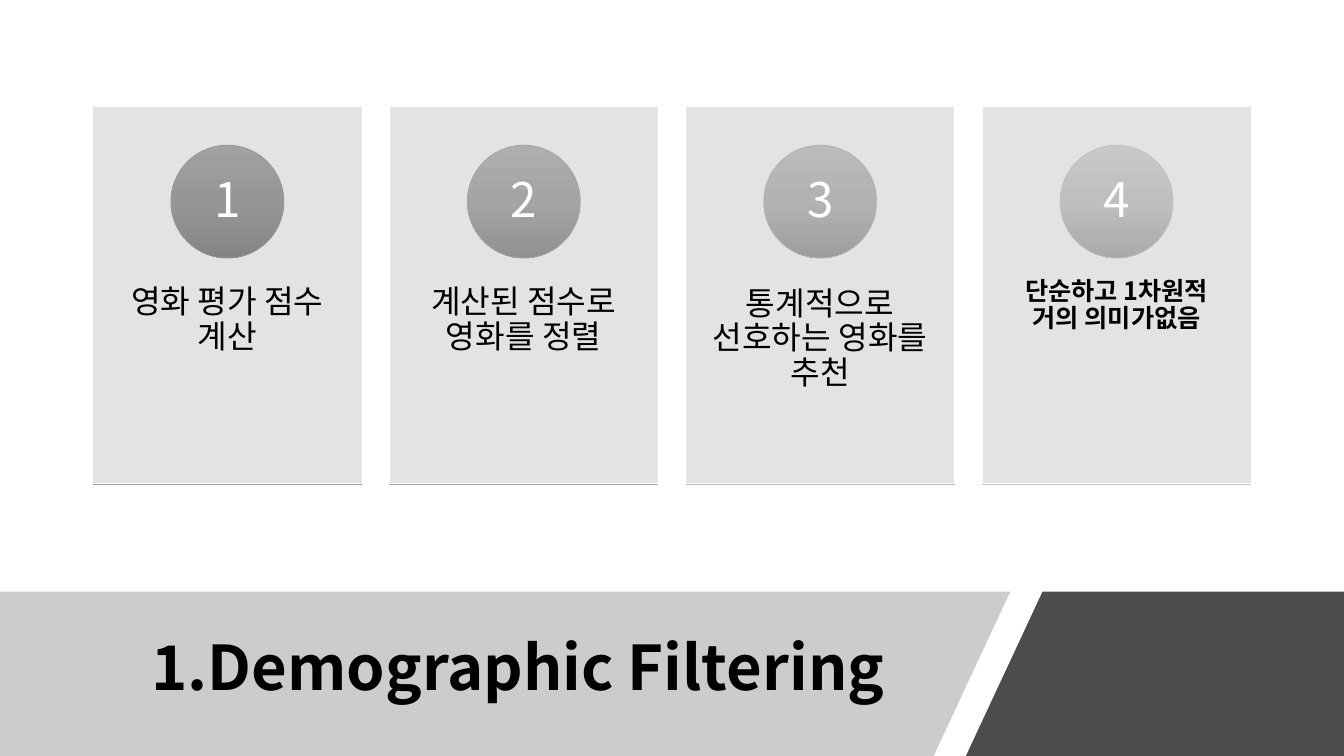
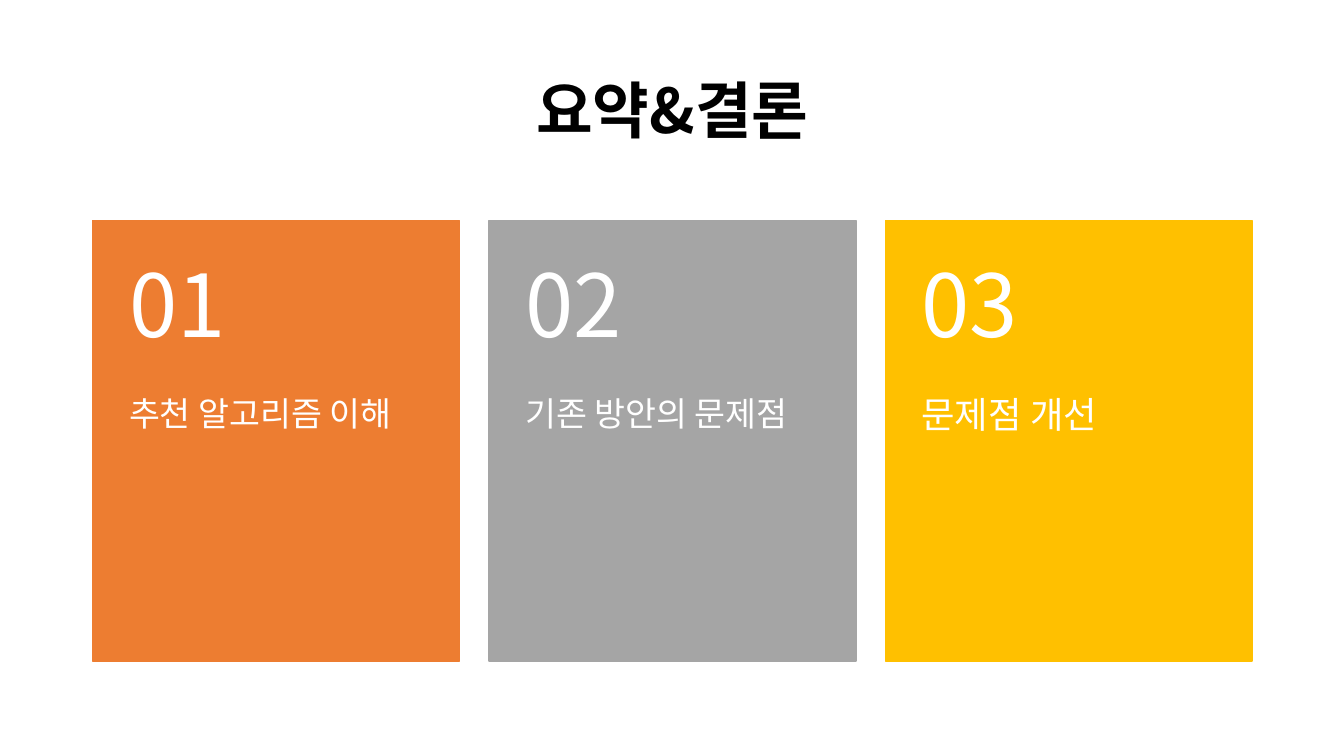
"""Build two slides: a four-step filtering overview and a three-card summary."""
from copy import deepcopy

from lxml import etree
from pptx import Presentation
from pptx.dml.color import RGBColor
from pptx.enum.shapes import MSO_CONNECTOR, MSO_SHAPE
from pptx.enum.text import MSO_ANCHOR as ANCHOR, PP_ALIGN as ALIGN
from pptx.oxml.ns import qn
from pptx.util import Inches, Pt

FONT = "Noto Sans CJK KR"
BLACK, WHITE = "000000", "FFFFFF"
rgb = RGBColor.from_string


def paint(sp, color, alpha=100, line=None, width=0.5):
    sp.shadow.inherit = False
    sp.fill.solid()
    sp.fill.fore_color.rgb = rgb(color)
    if alpha < 100:
        clr = sp._element.spPr.find(qn("a:solidFill"))[0]
        etree.SubElement(clr, qn("a:alpha")).set("val", str(alpha * 1000))
    if line:
        sp.line.color.rgb = rgb(line)
        sp.line.width = Pt(width)
    else:
        sp.line.fill.background()


def write(sp, text, size, color=BLACK, bold=False, align=ALIGN.CENTER,
          anchor=ANCHOR.MIDDLE, insets=(0.1, 0.05, 0.1, 0.05)):
    tf = sp.text_frame
    tf.word_wrap = True
    tf.vertical_anchor = anchor
    tf.margin_left, tf.margin_top, tf.margin_right, tf.margin_bottom = map(Inches, insets)
    p = tf.paragraphs[0]
    p.text = text
    p.alignment = align
    p.line_spacing = 0.9
    p.font.name = FONT
    p.font.size = Pt(size)
    p.font.bold = bold
    p.font.color.rgb = rgb(color)
    def_rpr = p._p.pPr.find(qn("a:defRPr"))
    etree.SubElement(def_rpr, qn("a:ea")).set("typeface", FONT)


prs = Presentation()
prs.slide_width, prs.slide_height = Inches(13.33), Inches(7.5)
blank = prs.slide_layouts[6]
left = 0.92

s = prs.slides.add_slide(blank)
bands = [
    ([(0, 5.87), (10.02, 5.87), (9.26, 7.5), (0, 7.5)], "808080", 40),
    ([(10.34, 5.87), (13.33, 5.87), (13.33, 7.5), (9.58, 7.5)], BLACK, 70),
]
for points, color, alpha in bands:
    corners = [(Inches(x), Inches(y)) for x, y in points]
    builder = s.shapes.build_freeform(*corners[0])
    builder.add_line_segments(corners[1:])
    paint(builder.convert_to_shape(), color, alpha)

title = s.shapes.add_textbox(Inches(left), Inches(6.05), Inches(8.44), Inches(1.2))
write(title, "1.Demographic Filtering", 44, bold=True)

steps = [
    ("영화 평가 점수 계산", 23, False, ("A1A1A1", "969696", "858585"), "9D9D9D"),
    ("계산된 점수로 영화를 정렬", 23, False, ("AEAEAE", "A4A4A4", "919191"), "ABABAB"),
    ("통계적으로 선호하는 영화를 추천", 23, False, ("BBBBBB", "B2B2B2", "9E9E9E"), "B9B9B9"),
    ("단순하고 1차원적 거의 의미가없음", 18, True, ("C8C8C8", "BFBFBF", "AAAAAA"), "C6C6C6"),
]
step_w, step_pitch, disc = 2.67, 2.94, 1.12
for i, (text, size, bold, shades, rule_color) in enumerate(steps):
    x = left + i * step_pitch
    card = s.shapes.add_shape(MSO_SHAPE.RECTANGLE, Inches(x), Inches(1.06),
                              Inches(step_w), Inches(3.74))
    paint(card, "E1E1E1", 90, WHITE)
    body = s.shapes.add_textbox(Inches(x), Inches(2.49), Inches(step_w), Inches(2.25))
    write(body, text, size, bold=bold, anchor=ANCHOR.TOP, insets=(0.21, 0.36, 0.21, 0.36))

    badge = s.shapes.add_shape(MSO_SHAPE.OVAL, Inches(x + (step_w - disc) / 2), Inches(1.44),
                               Inches(disc), Inches(disc))
    paint(badge, shades[1], line=shades[1])
    badge.fill.gradient()
    badge.fill.gradient_angle = 270
    stop_list = badge._element.spPr.find(qn("a:gradFill")).find(qn("a:gsLst"))
    stop_list.insert(1, deepcopy(stop_list[0]))
    for stop, shade, position in zip(badge.fill.gradient_stops, shades, (0, 0.5, 1)):
        stop.color.rgb = rgb(shade)
        stop.position = position
    write(badge, str(i + 1), 34, WHITE, insets=(0.09, 0.01, 0.09, 0.01))

    rule = s.shapes.add_connector(MSO_CONNECTOR.STRAIGHT, Inches(x), Inches(4.81),
                                  Inches(x + step_w), Inches(4.81))
    rule.line.color.rgb = rgb(rule_color)
    rule.line.width = Pt(0.5)
    etree.SubElement(rule._element.spPr, qn("a:effectLst"))

s = prs.slides.add_slide(blank)
title = s.shapes.add_textbox(Inches(left), Inches(0.4), Inches(11.5), Inches(1.45))
write(title, "요약&결론", 44, bold=True)

points = [
    ("추천 알고리즘 이해", 24, "ED7D31"),
    ("기존 방안의 문제점", 24, "A5A5A5"),
    ("문제점 개선", 26, "FFC000"),
]
card_w, card_pitch, top = 3.64, 3.93, 2.19
for i, (text, size, color) in enumerate(points):
    x = left + i * card_pitch
    card = s.shapes.add_shape(MSO_SHAPE.RECTANGLE, Inches(x), Inches(top),
                              Inches(card_w), Inches(4.37))
    paint(card, color, line=color, width=1)
    body = s.shapes.add_textbox(Inches(x), Inches(top + 1.75), Inches(card_w), Inches(2.62))
    write(body, text, size, WHITE, align=ALIGN.LEFT, anchor=ANCHOR.TOP,
          insets=(0.36, 0, 0.36, 0.36))
    number = s.shapes.add_textbox(Inches(x), Inches(top), Inches(card_w), Inches(1.75))
    write(number, f"{i + 1:02}", 62, WHITE, align=ALIGN.LEFT, insets=(0.36, 0.18, 0.36, 0.18))

prs.save("out.pptx")
